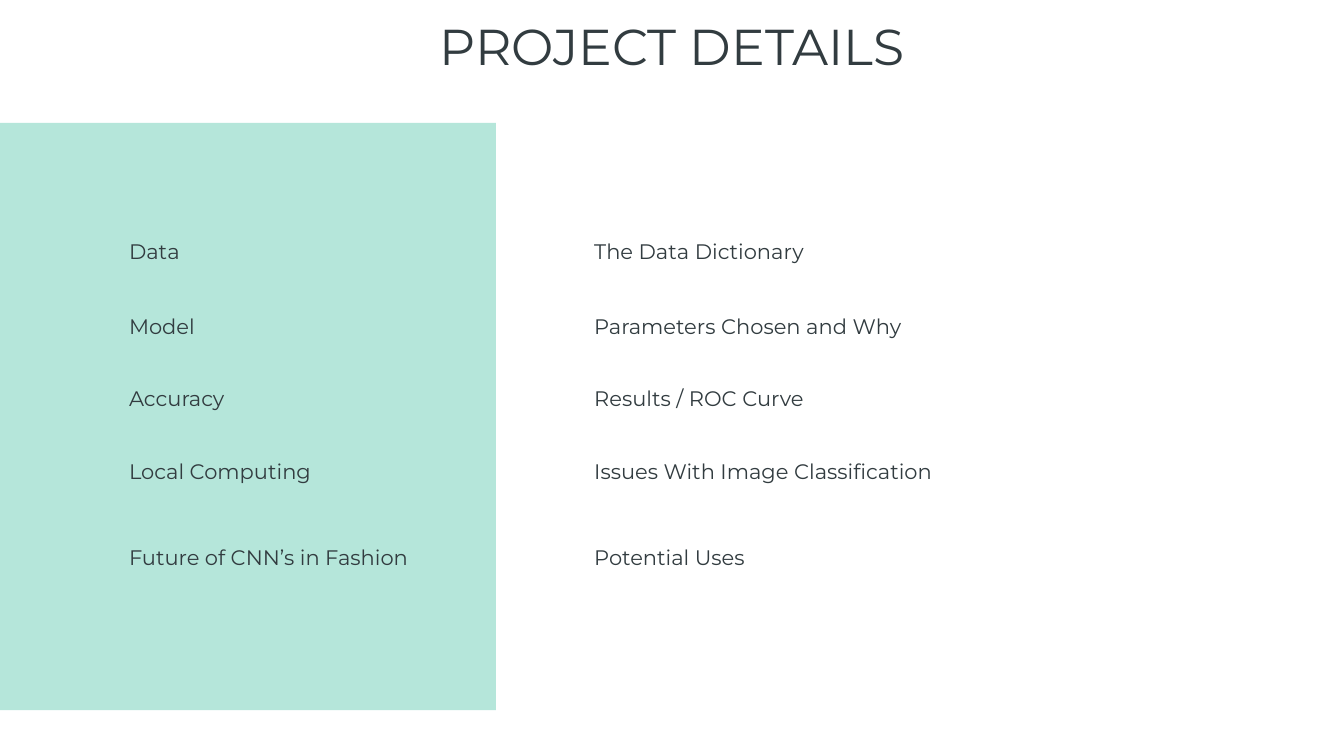
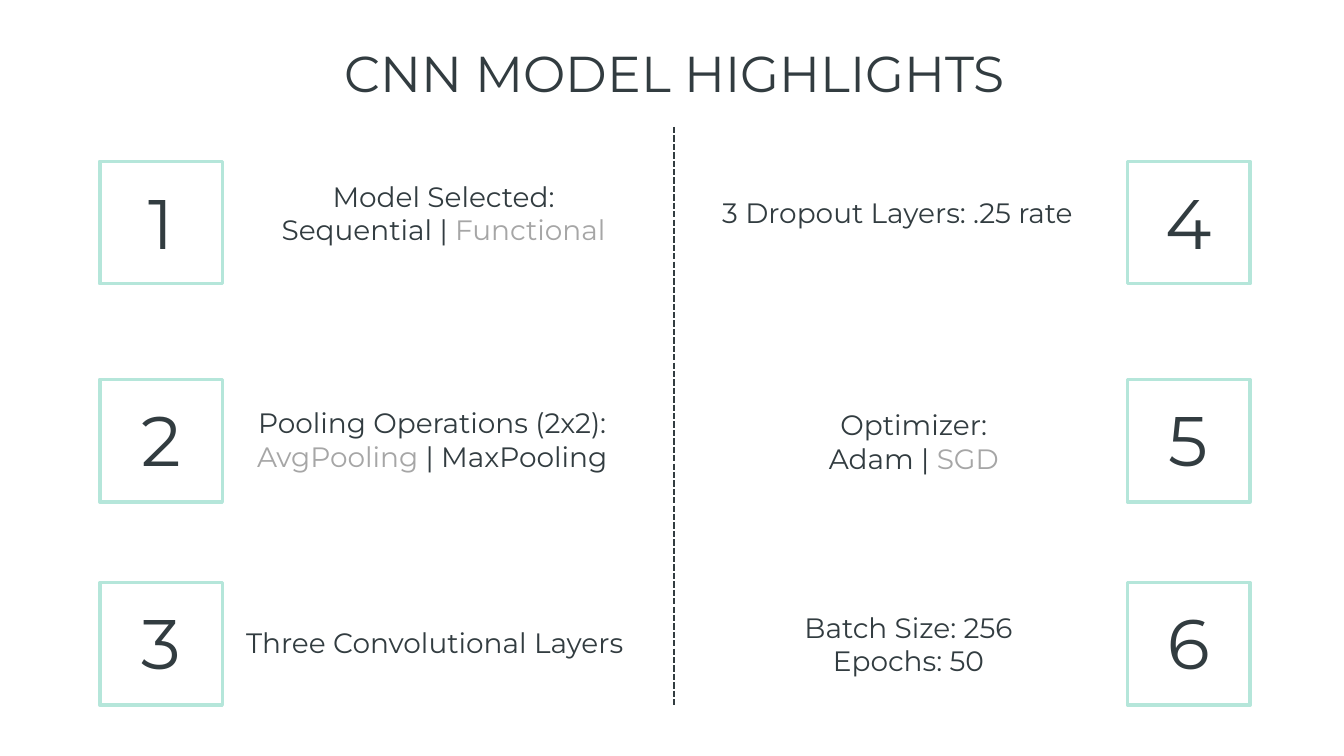
"""Builds the project details and CNN model highlights slides."""
from lxml import etree
from pptx import Presentation
from pptx.dml.color import RGBColor
from pptx.enum.dml import MSO_LINE
from pptx.enum.shapes import MSO_CONNECTOR, MSO_SHAPE
from pptx.enum.text import MSO_ANCHOR, MSO_AUTO_SIZE, PP_ALIGN
from pptx.oxml.ns import qn
from pptx.util import Pt

CENTER, LEFT = PP_ALIGN.CENTER, PP_ALIGN.LEFT
MIDDLE = MSO_ANCHOR.MIDDLE
NO_AUTOFIT = MSO_AUTO_SIZE.NONE
RECTANGLE = MSO_SHAPE.RECTANGLE
STRAIGHT = MSO_CONNECTOR.STRAIGHT
SHORT_DASH = MSO_LINE.SQUARE_DOT

COLORS = {"ink": "323C40", "mint": "B5E6DA", "muted": "A6A6A6", "paper": "FFFFFF"}
FONT = "Montserrat"
PLAIN_TABLE = "{2D5ABB26-0587-4C30-8999-92F81FD0307C}"
TITLE_ONLY = 5

TOPICS = [
    ("Data", "The Data Dictionary"),
    ("Model", "Parameters Chosen and Why"),
    ("Accuracy", "Results / ROC Curve"),
    ("Local Computing", "Issues With Image Classification"),
    ("Future of CNN’s in Fashion", "Potential Uses"),
]
TOPIC_COLUMNS = [664.56, 772.56]
TOPIC_ROWS = [108, 108, 98.64, 108, 138.96, 108, 108]

BOX_SIZE = 175
BOX_COLUMNS = [142.56, 1610.64]
BOX_ROWS = [230.4, 542.16, 832.32]
NUMBER_TOPS = [255.6, 565.92, 855.36]
NUMBER_HEIGHT = 121.68

HIGHLIGHTS = [
    ((393.12, 255.6, 480.96, 97.2), CENTER,
     [[("Model Selected:", "ink")],
      [("Sequential | ", "ink"), ("Functional", "muted")]]),
    ((350.64, 578.88, 533.52, 97.2), CENTER,
     [[("Pooling Operations (2x2):", "ink")],
      [("AvgPooling ", "muted"), ("| MaxPooling", "ink")]]),
    ((325.44, 892.8, 591.12, 48.24), CENTER,
     [[("Three Convolutional Layers", "ink")]]),
    ((1031.76, 278.64, 527.76, 48.24), LEFT,
     [[("3 Dropout Layers: .25 rate", "ink")]]),
    ((1180.8, 581.76, 249.12, 97.2), CENTER,
     [[("Optimizer:", "ink")],
      [("Adam | ", "ink"), ("SGD", "muted")]]),
    ((1141.92, 871.2, 311.76, 97.2), CENTER,
     [[("Batch Size: 256", "ink")], [("Epochs: 50", "ink")]]),
]


def points(*lengths):
    return [Pt(length) for length in lengths]


class Deck:
    """Holds the style and the current slide."""

    def __init__(self):
        self.presentation = Presentation()
        self.presentation.slide_width, self.presentation.slide_height = points(1920, 1080)
        self.slide = None

    def color(self, name):
        return RGBColor.from_string(COLORS[name])

    def style(self, font, size, color="ink"):
        font.name, font.size = FONT, Pt(size)
        font.color.rgb = self.color(color)

    def frame(self, holder, wrap=True):
        frame = holder.text_frame
        frame.auto_size, frame.word_wrap = NO_AUTOFIT, wrap
        frame.vertical_anchor = MIDDLE
        frame.margin_left = frame.margin_right = 0
        frame.margin_top = frame.margin_bottom = 0
        return frame

    def add_slide(self, heading, left, top):
        layout = self.presentation.slide_layouts[TITLE_ONLY]
        self.slide = self.presentation.slides.add_slide(layout)
        fill = self.slide.background.fill
        fill.solid()
        fill.fore_color.rgb = self.color("paper")
        title = self.slide.shapes.title
        title.left, title.top, title.width, title.height = points(left, top, 1344.96, 70.56)
        paragraph = self.frame(title).paragraphs[0]
        paragraph.text = heading
        paragraph.alignment, paragraph.line_spacing = CENTER, 0.8
        self.style(paragraph.font, 72)

    def rectangle(self, place, fill=None, outline=None):
        shape = self.slide.shapes.add_shape(RECTANGLE, *points(*place))
        shape.shadow.inherit = False
        if fill:
            shape.fill.solid()
            shape.fill.fore_color.rgb = self.color(fill)
        else:
            shape.fill.background()
        if outline:
            shape.line.color.rgb = self.color(outline)
            shape.line.width = Pt(5)
        else:
            shape.line.fill.background()

    def text(self, place, lines, size, alignment=CENTER):
        box = self.slide.shapes.add_textbox(*points(*place))
        frame = self.frame(box, wrap=False)
        for index, pieces in enumerate(lines):
            paragraph = frame.add_paragraph() if index else frame.paragraphs[0]
            paragraph.alignment = alignment
            for words, color in pieces:
                run = paragraph.add_run()
                run.text = words
                font = run.font if len(pieces) > 1 else paragraph.font
                self.style(font, size, color)

    def divider(self, x, top, bottom):
        line = self.slide.shapes.add_connector(STRAIGHT, *points(x, top, x, bottom))
        line.line.color.rgb = self.color("ink")
        line.line.width = Pt(3)
        line.line.dash_style = SHORT_DASH
        etree.SubElement(line.element.spPr, qn("a:effectLst"))

    def table(self, left, top, widths, heights, entries):
        place = points(left, top, sum(widths), sum(heights))
        holder = self.slide.shapes.add_table(len(heights), len(widths), *place)
        next(holder.element.iter(qn("a:tableStyleId"))).text = PLAIN_TABLE
        table = holder.table
        table.first_row = table.horz_banding = False
        for column, width in zip(table.columns, widths):
            column.width = Pt(width)
        for row, height in zip(table.rows, heights):
            row.height = Pt(height)
        for cell in table.iter_cells():
            cell.fill.background()
        for row, entry in enumerate(entries):
            for column, words in enumerate(entry):
                cell = table.cell(row, column)
                cell.vertical_anchor = MIDDLE
                cell.margin_left = cell.margin_right = Pt(28.8)
                cell.margin_top = cell.margin_bottom = Pt(28.8)
                paragraph = cell.text_frame.paragraphs[0]
                paragraph.text = words
                self.style(paragraph.font, 30)
                if row and column:
                    paragraph.space_before = Pt(23)


def main():
    deck = Deck()

    deck.add_slide("PROJECT DETAILS", 287.28, 38.16)
    deck.rectangle((0, 175.68, 708.48, 838.8), fill="mint")
    deck.table(155.52, 305.28, TOPIC_COLUMNS, TOPIC_ROWS, TOPICS)

    deck.add_slide("CNN MODEL HIGHLIGHTS", 290.88, 75.6)
    deck.divider(963.36, 181.44, 1007.28)
    for index, (place, alignment, lines) in enumerate(HIGHLIGHTS):
        column, row = divmod(index, len(BOX_ROWS))
        left = BOX_COLUMNS[column]
        deck.rectangle((left, BOX_ROWS[row], BOX_SIZE, BOX_SIZE), outline="mint")
        number_place = (left + 58, NUMBER_TOPS[row], BOX_SIZE - 116, NUMBER_HEIGHT)
        deck.text(number_place, [[(str(index + 1), "ink")]], 100)
        deck.text(place, lines, 40, alignment)

    deck.presentation.save("out.pptx")


if __name__ == "__main__":
    main()
